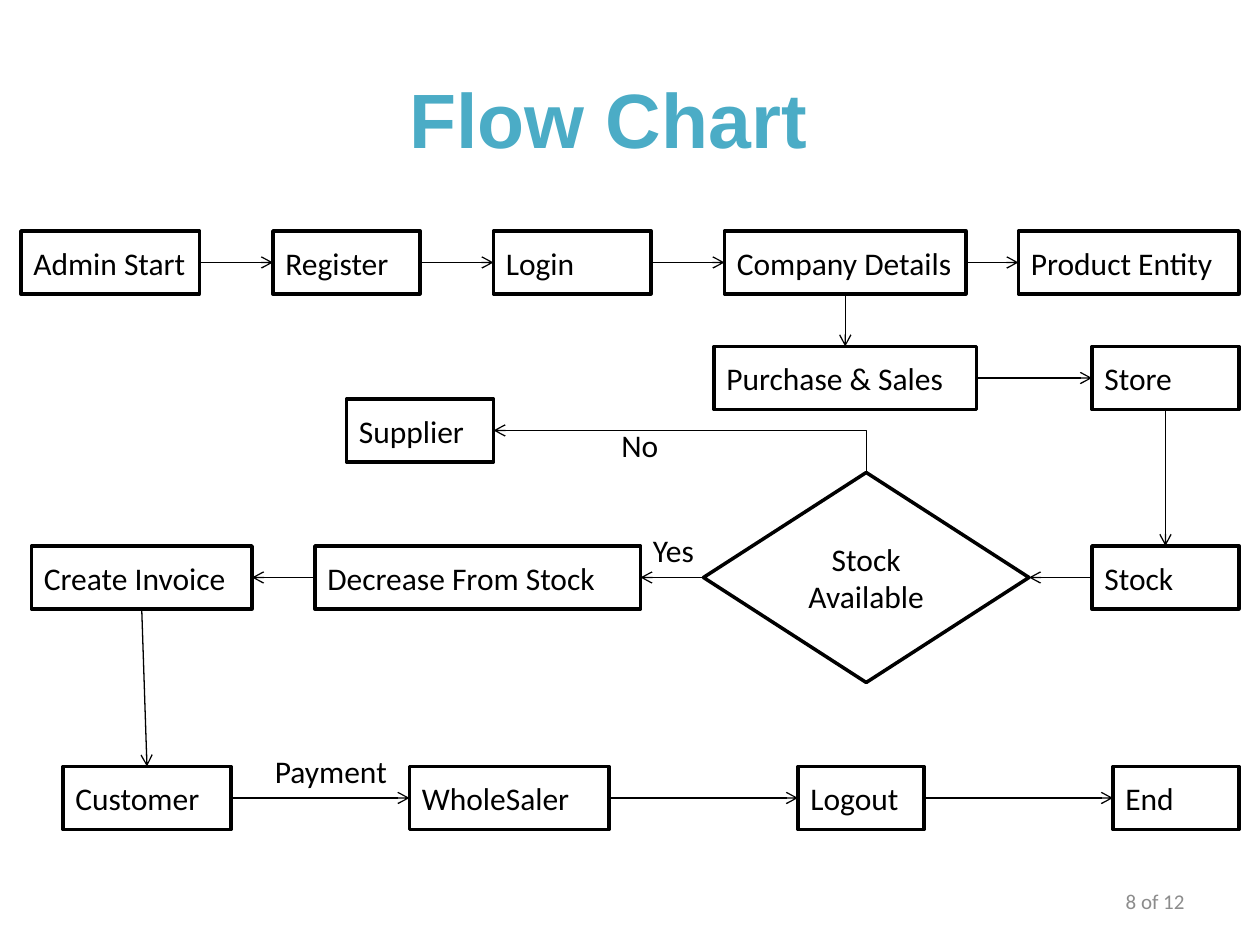
from pptx import Presentation
from pptx.dml.color import RGBColor
from pptx.enum.shapes import MSO_CONNECTOR as Link, MSO_SHAPE as Shape
from pptx.enum.text import MSO_ANCHOR as Anchor, MSO_AUTO_SIZE as AutoSize, PP_ALIGN as Align
from pptx.oxml.ns import qn
from pptx.util import Inches, Pt
from lxml.etree import SubElement

BLACK = RGBColor(0, 0, 0)
WHITE = RGBColor(255, 255, 255)
TEAL = RGBColor(0x4B, 0xAC, 0xC6)
GRAY = RGBColor(0x8C, 0x8C, 0x8C)

CELLS_PER_INCH = 12
STEP_HEIGHT = 6
DECISION = "Stock\nAvailable"
DECISION_CELLS = (67, 45, 31, 20)
ROWS = [
    (22, [("Admin Start", 2, 17), ("Register", 26, 14), ("Login", 47, 15),
          ("Company Details", 69, 23), ("Product Entity", 97, 21)]),
    (33, [("Purchase & Sales", 68, 25), ("Store", 104, 14)]),
    (38, [("Supplier", 33, 14)]),
    (52, [("Create Invoice", 3, 21), ("Decrease From Stock", 30, 31), ("Stock", 104, 14)]),
    (73, [("Customer", 6, 16), ("WholeSaler", 39, 19), ("Logout", 76, 12), ("End", 106, 12)]),
]
TOP, LEFT, BOTTOM, RIGHT = range(4)
FLOWS = [
    (RIGHT, LEFT, ["Admin Start", "Register", "Login", "Company Details", "Product Entity"]),
    (BOTTOM, TOP, ["Company Details", "Purchase & Sales"]),
    (RIGHT, LEFT, ["Purchase & Sales", "Store"]),
    (BOTTOM, TOP, ["Store", "Stock"]),
    (LEFT, RIGHT, ["Stock", DECISION, "Decrease From Stock", "Create Invoice"]),
    (BOTTOM, TOP, ["Create Invoice", "Customer"]),
    (RIGHT, LEFT, ["Customer", "WholeSaler", "Logout", "End"]),
]
LABELS = [("Payment", 25, 71, 13.2), ("Yes", 61, 50, 6.4), ("No", 58, 40, 6)]


def cells(*counts):
    return [Inches(count / CELLS_PER_INCH) for count in counts]


def write(frame, text, align=Align.LEFT, size=18, color=BLACK, font="Calibri", bold=False):
    frame.text = text
    for paragraph in frame.paragraphs:
        paragraph.alignment = align
        paragraph.font.size = Pt(size)
        paragraph.font.name = font
        paragraph.font.bold = bold
        paragraph.font.color.rgb = color


def add_step(text, area, preset=Shape.RECTANGLE, align=Align.LEFT):
    step = slide.shapes.add_shape(preset, *cells(*area))
    step.shadow.inherit = False
    step.fill.solid()
    step.fill.fore_color.rgb = WHITE
    step.line.color.rgb = BLACK
    step.line.width = Pt(2)
    step.text_frame.vertical_anchor = Anchor.MIDDLE
    write(step.text_frame, text, align)
    return step


def add_arrow(kind, *ends):
    arrow = slide.shapes.add_connector(kind, *ends)
    arrow.line.color.rgb = BLACK
    arrow.line.width = Pt(0.75)
    SubElement(arrow.line._get_or_add_ln(), qn("a:tailEnd"), type="arrow")
    SubElement(arrow._element.spPr, qn("a:effectLst"))
    return arrow


prs = Presentation()
prs.slide_width, prs.slide_height = Inches(10), Inches(7.5)
slide = prs.slides.add_slide(prs.slide_layouts[5])

title = slide.shapes.title
title.left, title.top, title.width, title.height = (Inches(n) for n in (0.33, 0.31, 9, 1.25))
title.text_frame.vertical_anchor = Anchor.MIDDLE
write(title.text_frame, "Flow Chart", Align.CENTER, 44, TEAL, "Arial", True)

steps = {DECISION: add_step(DECISION, DECISION_CELLS, Shape.FLOWCHART_DECISION, Align.CENTER)}
for row, entries in ROWS:
    for text, column, width in entries:
        steps[text] = add_step(text, (column, row, width, STEP_HEIGHT))

for leave, enter, chain in FLOWS:
    for source, target in zip(chain, chain[1:]):
        arrow = add_arrow(Link.STRAIGHT, 0, 0, 0, 0)
        arrow.begin_connect(steps[source], leave)
        arrow.end_connect(steps[target], enter)

decision, supplier = steps[DECISION], steps["Supplier"]
start_x, start_y = decision.left + decision.width // 2, decision.top
end_x, end_y = supplier.left + supplier.width, supplier.top + supplier.height // 2
mid_x, mid_y = (start_x + end_x) // 2, (start_y + end_y) // 2
half_run, half_rise = (start_x - end_x) // 2, (start_y - end_y) // 2
no_branch = add_arrow(Link.ELBOW, mid_x - half_rise, mid_y + half_run,
                      mid_x + half_rise, mid_y - half_run)
no_branch._element.spPr.find(qn("a:prstGeom")).set("prst", "bentConnector2")
no_branch._element.spPr.find(qn("a:xfrm")).set("rot", str(270 * 60000))

for text, column, row, width in LABELS:
    label = slide.shapes.add_textbox(*cells(column, row, width, 4.8)).text_frame
    label.word_wrap = False
    label.auto_size = AutoSize.SHAPE_TO_FIT_TEXT
    write(label, text)

page = slide.shapes.add_textbox(*(Inches(n) for n in (7.17, 6.95, 2.33, 0.4))).text_frame
page.word_wrap = True
page.vertical_anchor = Anchor.MIDDLE
write(page, "8 of 12", Align.RIGHT, 12, GRAY)

prs.save("out.pptx")
